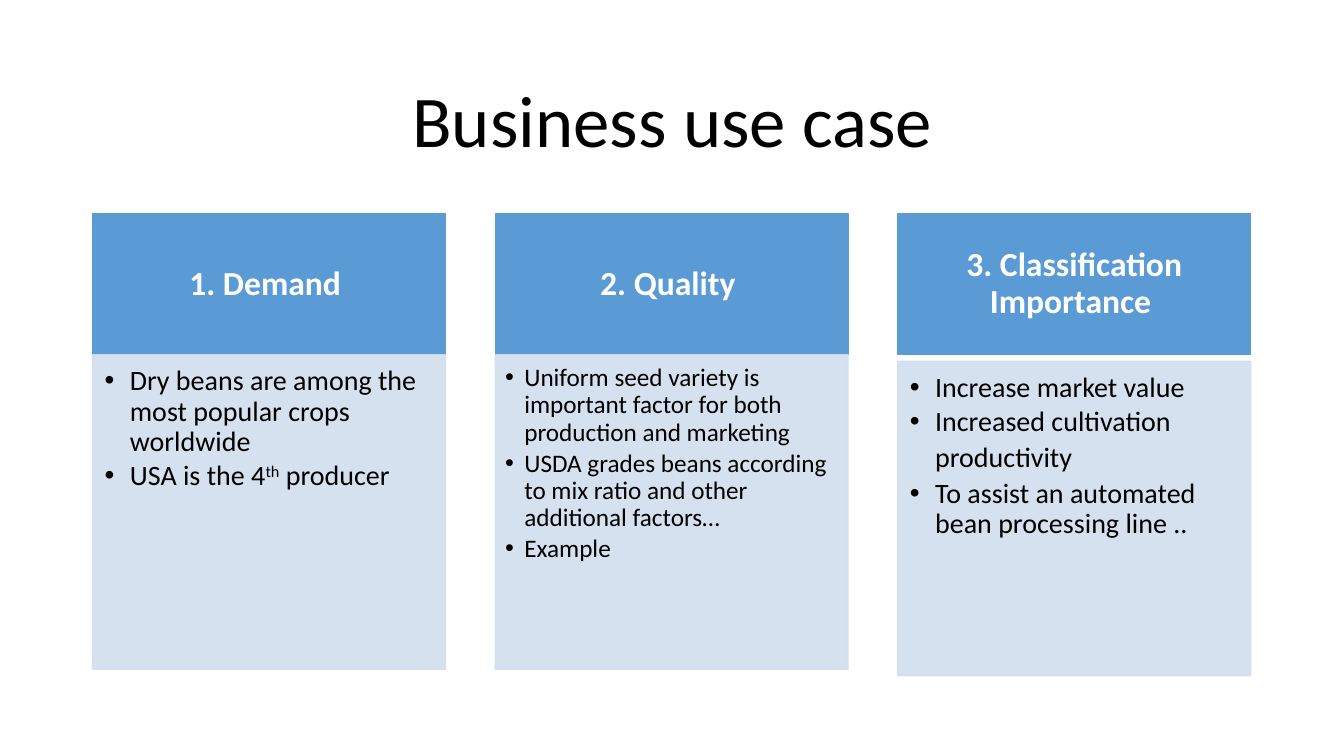
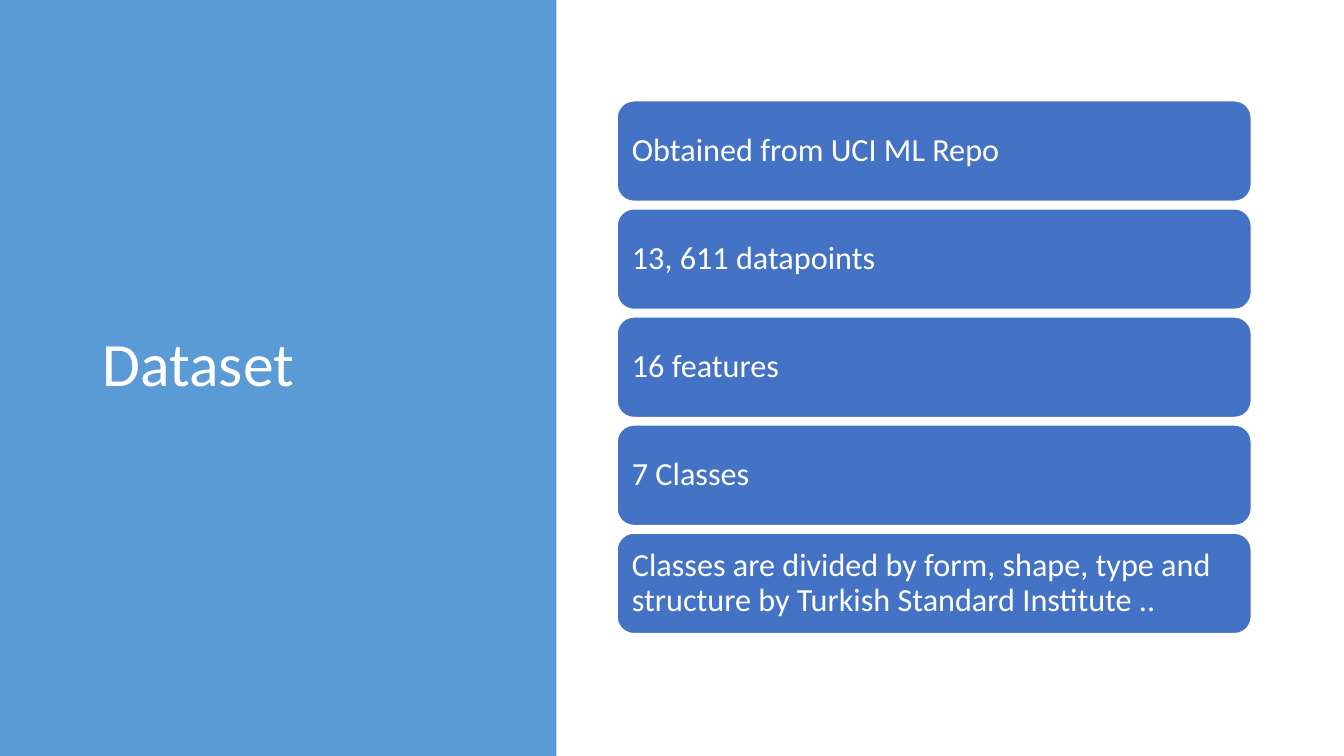
import pptx
import pptx.util
import pptx.dml.color
import pptx.enum.shapes
import pptx.enum.text
import pptx.oxml
import pptx.oxml.ns

Pt = pptx.util.Pt
SHAPE = pptx.enum.shapes.MSO_SHAPE
ALIGN = pptx.enum.text.PP_ALIGN
ANCHOR = pptx.enum.text.MSO_ANCHOR

BLUE, PALE, ROYAL = "5B9BD5", "D2DEEF", "4472C4"
WHITE, BLACK = "FFFFFF", "000000"
NS = pptx.oxml.ns.nsdecls("a")


def color(target, value):
    if hasattr(target, "solid"):
        target.solid()
        target = target.fore_color
    target.rgb = pptx.dml.color.RGBColor.from_string(value)


def write(sp, paragraphs, size, ink, insets, bold=False, align=ALIGN.LEFT,
          anchor=ANCHOR.MIDDLE, after=0, indent=0):
    tf = sp.text_frame
    sides = ("margin_left", "margin_top", "margin_right", "margin_bottom")
    frame = dict(zip(sides, map(Pt, insets)), word_wrap=True,
                 auto_size=pptx.enum.text.MSO_AUTO_SIZE.NONE, vertical_anchor=anchor)
    for name, value in frame.items():
        setattr(tf, name, value)
    for i, runs in enumerate(paragraphs):
        p = tf.paragraphs[0] if i == 0 else tf.add_paragraph()
        fmt = {"alignment": align, "line_spacing": 0.9,
               "space_before": Pt(0), "space_after": Pt(after)}
        for name, value in fmt.items():
            setattr(p, name, value)
        if indent:
            pPr = p._p.get_or_add_pPr()
            pPr.set("marL", str(Pt(indent)))
            pPr.set("indent", str(-Pt(indent)))
            pPr.append(pptx.oxml.parse_xml(f'<a:buFont {NS} typeface="Arial"/>'))
            pPr.append(pptx.oxml.parse_xml(f'<a:buChar {NS} char="•"/>'))
        for text, special in runs:
            r = p.add_run()
            r.text = text
            font = {"name": "Calibri", "size": Pt(special.get("size", size)), "bold": bold}
            for name, value in font.items():
                setattr(r.font, name, value)
            color(r.font.color, ink)
            if "baseline" in special:
                r._r.get_or_add_rPr().set("baseline", special["baseline"])


prs = pptx.Presentation()
prs.slide_width, prs.slide_height = Pt(960), Pt(540)

titles = [
    ("Business use case", (66.2, 44, 828, 89.2), 52, BLACK, ALIGN.CENTER),
    ("Dataset", (66.2, 49, 296.6, 426.2), 44, WHITE, ALIGN.LEFT),
]
slides = []
for text, box, size, ink, align in titles:
    s = prs.slides.add_slide(prs.slide_layouts[5])
    title = s.shapes.title
    for name, value in zip(("left", "top", "width", "height"), box):
        setattr(title, name, Pt(value))
    write(title, [[(text, {})]], size, ink, (7.2, 3.6, 7.2, 3.6), align=align)
    slides.append(s)
business, dataset = slides

columns = [
    ("1. Demand ", 0, 20, 18, (8.6, 8.6, 11.5, 12.2), [
        [("Dry beans are among the most popular crops worldwide", {})],
        [("USA is the 4", {}), ("th", {"baseline": "30000"}), (" producer", {})],
    ]),
    ("2. Quality ", 0, 18, 13.7, (7.2, 7.2, 10.1, 11.5), [
        [("Uniform seed variety is important factor for both production and marketing", {})],
        [("USDA grades beans according to mix ratio and other additional factors…", {})],
        [("Example", {})],
    ]),
    ("3. Classification Importance ", 4.6, 20, 18, (8.6, 8.6, 11.5, 12.2), [
        [("Increase market value", {})],
        [("Increased cultivation productivity", {}), (" ", {"size": 25})],
        [("To assist an automated bean processing line ..", {})],
    ]),
]
top, head_height = 152.6, 100.8
for i, (heading, gap, size, indent, insets, points) in enumerate(columns):
    left = 66.2 + i * 287.6
    head = business.shapes.add_shape(SHAPE.RECTANGLE, Pt(left), Pt(top), Pt(252), Pt(head_height))
    body = business.shapes.add_shape(SHAPE.RECTANGLE, Pt(left), Pt(top + head_height + gap),
                                     Pt(252), Pt(224.6))
    for sp, fill in ((head, BLUE), (body, PALE)):
        sp.shadow.inherit = False
        color(sp.fill, fill)
        color(sp.line.fill, fill)
        sp.line.width = Pt(1)
    for clr in body.element.spPr.iter(pptx.oxml.ns.qn("a:srgbClr")):
        clr.append(pptx.oxml.parse_xml(f'<a:alpha {NS} val="90000"/>'))
    write(head, [[(heading, {})]], 24, WHITE, (13.7, 7.9, 13.7, 7.9), bold=True,
          align=ALIGN.CENTER)
    write(body, points, size, BLACK, insets, anchor=ANCHOR.TOP, after=2.7, indent=indent)

panel = dataset.shapes.add_shape(SHAPE.RECTANGLE, 0, 0, Pt(397.4), prs.slide_height)
panel.shadow.inherit = False
color(panel.fill, BLUE)
panel.line.fill.background()
dataset.shapes.title.element.addprevious(panel.element)

facts = [
    "Obtained from UCI ML Repo",
    "13, 611 datapoints",
    "16 features",
    "7 Classes",
    "Classes are divided by form, shape, type and structure by Turkish Standard Institute ..",
]
for i, fact in enumerate(facts):
    sp = dataset.shapes.add_shape(SHAPE.ROUNDED_RECTANGLE, Pt(440.8), Pt(72 + i * 77.2),
                                  Pt(453), Pt(71.8))
    sp.shadow.inherit = False
    color(sp.fill, ROYAL)
    color(sp.line.fill, WHITE)
    sp.line.width = Pt(1)
    write(sp, [[(fact, {})]], 23, WHITE, (7.2, 7.2, 7.2, 7.2))

prs.save("out.pptx")
